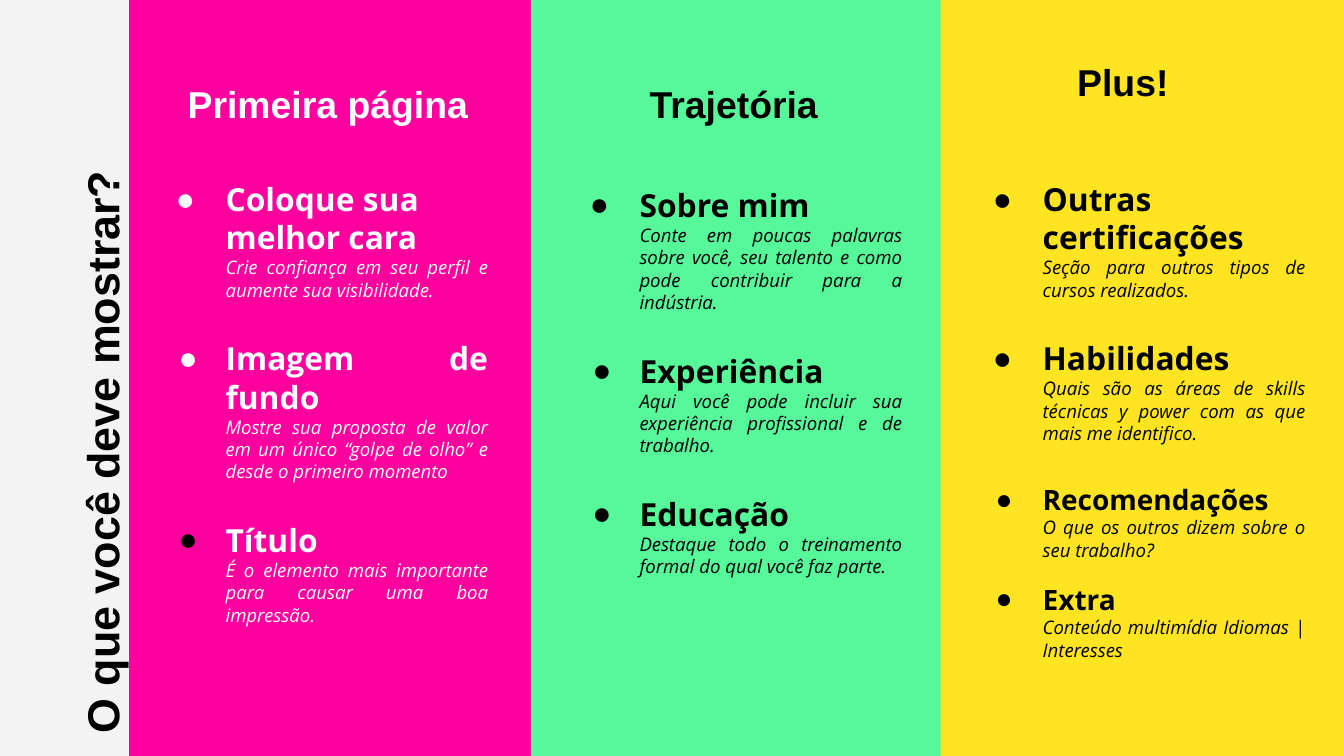
import copy

import pptx
import pptx.dml.color
import pptx.enum.shapes
import pptx.enum.text
import pptx.oxml
import pptx.oxml.ns
import pptx.util
from pptx.util import Inches

ALIGN = pptx.enum.text.PP_ALIGN
AUTO_SIZE = pptx.enum.text.MSO_AUTO_SIZE
WHITE, BLACK = "FFFFFF", "000000"
SLIDE_WIDTH = Inches(10)
SLIDE_HEIGHT = SLIDE_WIDTH * 9 // 16
GAP = 20.4  # points between topics

# Each topic: heading, description, options for add_topic
FIRST_PAGE = [
    ("Coloque sua melhor cara", "Crie confiança em seu perfil e aumente sua visibilidade.",
     {"joined": False, "gap": 0}),
    ("Imagem de fundo", "Mostre sua proposta de valor em um único “golpe de olho” "
     "e desde o primeiro momento", {}),
    ("Título", "É o elemento mais importante para causar uma boa impressão.",
     {"bullet_color": BLACK}),
]
CAREER = [
    ("Sobre mim", "Conte em poucas palavras sobre você, seu talento e como pode "
     "contribuir para a indústria.", {"joined": False, "gap": 0}),
    ("Experiência", "Aqui você pode incluir sua experiência profissional e de trabalho.", {}),
    ("Educação", "Destaque todo o treinamento formal do qual você faz parte.", {}),
]
PLUS = [
    ("Outras certificações", "Seção para outros tipos de cursos realizados.",
     {"joined": False, "gap": 0}),
    ("Habilidades", "Quais são as áreas de skills técnicas y power com as que mais "
     "me identifico.", {"joined": False}),
    ("Recomendações", "O que os outros dizem sobre o seu trabalho?", {"size": 15}),
    ("Extra", "Conteúdo multimídia Idiomas | Interesses", {"size": 15, "gap": 11.5}),
]


def rgb(color):
    return pptx.dml.color.RGBColor.from_string(color)


def add_text(paragraph, text, size=17, color=BLACK, font="Open Sans", bold=False, italic=False):
    run = paragraph.add_run()
    run.text = text
    run.font.size = pptx.util.Pt(size)
    run.font.name = font
    run.font.bold = bold
    run.font.italic = italic
    run.font.color.rgb = rgb(color)
    return run


def add_text_box(slide, left, top, width, height, auto_size=AUTO_SIZE.NONE):
    box = slide.shapes.add_textbox(Inches(left), Inches(top), Inches(width), Inches(height))
    frame = box.text_frame
    frame.word_wrap = True
    frame.auto_size = auto_size
    frame.margin_left = frame.margin_right = Inches(0.1)
    frame.margin_top = frame.margin_bottom = Inches(0.1)
    return box


def add_heading(slide, box, text, size=20, color=BLACK, align=ALIGN.CENTER, line_spacing=1.5):
    shape = add_text_box(slide, *box, auto_size=AUTO_SIZE.SHAPE_TO_FIT_TEXT)
    paragraph = shape.text_frame.paragraphs[0]
    paragraph.alignment = align
    paragraph.line_spacing = line_spacing
    add_text(paragraph, text, size=size, color=color, font="Arial", bold=True)
    return shape


def indent(paragraph, first_line=0.0, bullet_color=None):
    """Set the hanging indent and, when a colour is given, a round bullet."""
    properties = paragraph._p.get_or_add_pPr()
    properties.set("marL", str(Inches(0.5)))
    properties.set("indent", str(Inches(first_line)))
    if bullet_color:
        namespace = pptx.oxml.ns.nsdecls("a")
        for xml in (
            f'<a:buClr {namespace}><a:srgbClr val="{bullet_color}"/></a:buClr>',
            f'<a:buFont {namespace} typeface="Arial"/>',
            f'<a:buChar {namespace} char="●"/>',
        ):
            properties.append(pptx.oxml.parse_xml(xml))


def add_topic(frame, heading, description, color, size=17, gap=GAP, joined=True,
              bullet_color=None):
    """Add a bulleted heading and its description, joined by a line break or as two paragraphs."""
    paragraph = frame.add_paragraph() if gap else frame.paragraphs[0]
    indent(paragraph, -0.35 if joined else -0.37, bullet_color or color)
    paragraph.alignment = ALIGN.JUSTIFY if joined else ALIGN.LEFT
    if gap:
        paragraph.space_before = pptx.util.Pt(gap)
    run = add_text(paragraph, heading, size=size, color=color, bold=True)
    if joined:
        paragraph.add_line_break()
        paragraph._p[-1].append(copy.deepcopy(run._r.rPr))
    else:
        paragraph = frame.add_paragraph()
        indent(paragraph)
        paragraph.alignment = ALIGN.JUSTIFY
    add_text(paragraph, description, size=10, color=color, italic=True)


def add_column(slide, left, width, fill, title, title_box, topics, list_box,
               color=BLACK, title_spacing=1.5):
    """Draw a full-height band; the inner boxes are given relative to its left edge."""
    band = slide.shapes.add_shape(pptx.enum.shapes.MSO_SHAPE.RECTANGLE, Inches(left), 0,
                                  Inches(width), SLIDE_HEIGHT)
    band.shadow.inherit = False
    band.fill.solid()
    band.fill.fore_color.rgb = rgb(fill)
    band.line.fill.background()

    offset, title_width = title_box
    add_heading(slide, (left + offset, 0.34, title_width, 0.54), title, color=color,
                line_spacing=title_spacing)

    offset, top, height = list_box
    frame = add_text_box(slide, left + offset, top, 2.65, height).text_frame
    for heading, description, options in topics:
        add_topic(frame, heading, description, color, **options)


def main():
    presentation = pptx.Presentation()
    presentation.slide_width = SLIDE_WIDTH
    presentation.slide_height = SLIDE_HEIGHT
    slide = presentation.slides.add_slide(presentation.slide_layouts[6])
    slide.background.fill.solid()
    slide.background.fill.fore_color.rgb = rgb("F3F3F3")

    add_column(slide, 0.96, 3.02, "FF009E", "Primeira página", (-0.03, 3.02),
               FIRST_PAGE, (0.12, 1.24, 3.84), color=WHITE)
    add_column(slide, 6.98, 3.02, "FFE521", "Plus!", (0, 2.75),
               PLUS, (0.18, 1.24, 4.11), title_spacing=1.0)
    add_column(slide, 3.95, 3.05, "56F89A", "Trajetória", (0, 3.02),
               CAREER, (0.21, 1.28, 3.77))
    question = add_heading(slide, (-1.82, 2.87, 4.76, 0.61), "O que você deve mostrar?",
                           size=24, align=ALIGN.LEFT)
    question.rotation = 270

    presentation.save("out.pptx")


if __name__ == "__main__":
    main()
